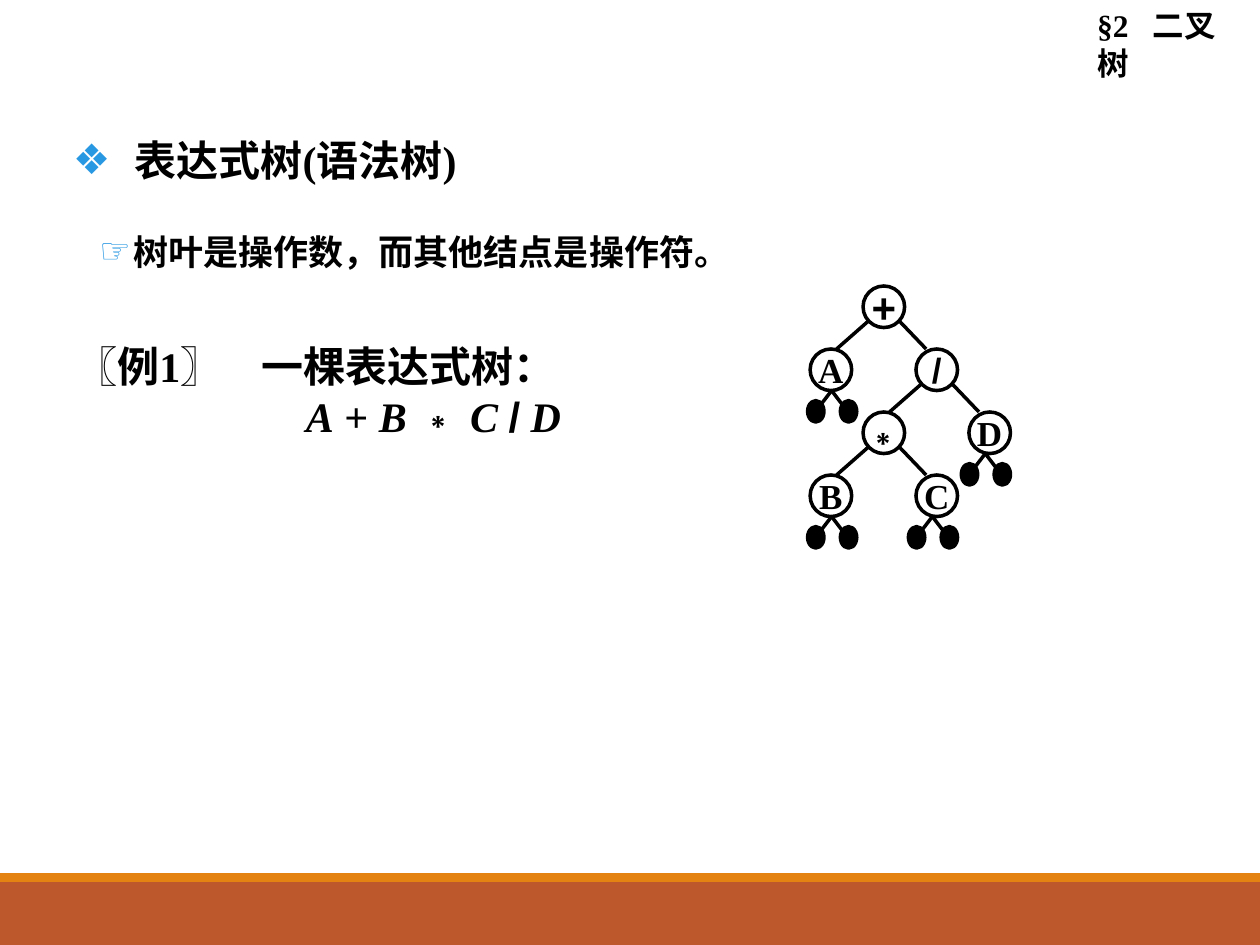
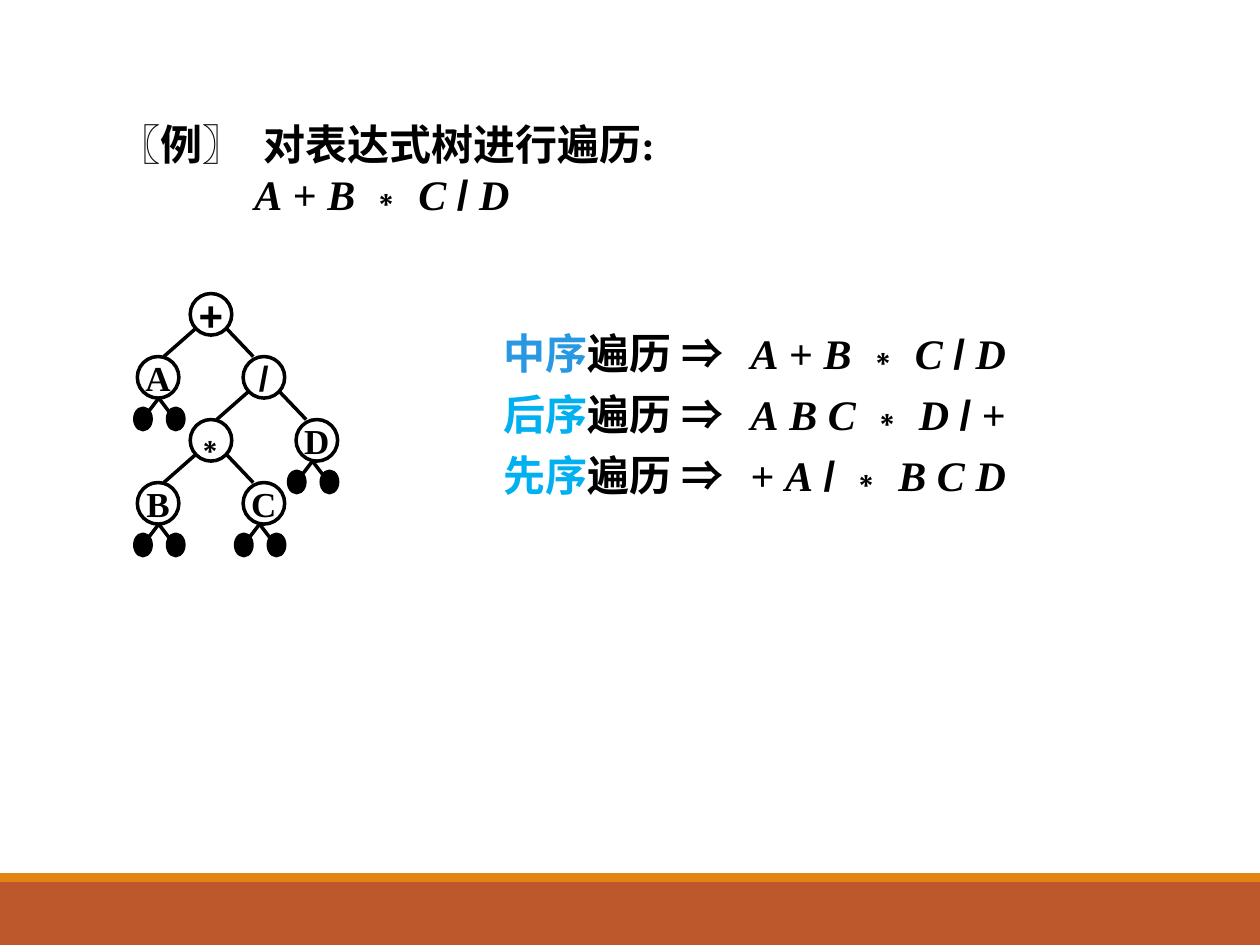
"""Builds two slides on expression trees and their traversal."""
from itertools import groupby
from lxml.etree import SubElement as Sub
from pptx import Presentation
from pptx.dml.color import RGBColor
from pptx.enum.shapes import MSO_CONNECTOR as Link, MSO_SHAPE as Kind
from pptx.enum.text import MSO_ANCHOR as Anchor, PP_ALIGN as Align
from pptx.oxml.ns import qn
from pptx.util import Inches, Pt

hue = RGBColor.from_string
INK, BLUE, SKY = "000000", "2998E3", "00B0F0"
SERIF, SANS = "Times New Roman", "Arial"
BANDS = [(7, 0.5, "BD582C"), (6.93, 0.07, "E48312")]
TERM = "A + B ∗ C / D"

STEP, ROW, SIZE = 0.42, 0.5, 0.33
NODES = {"+": (1, 0), "A": (0, 1), "/": (2, 1), "∗": (1, 2),
         "D": (3, 2), "B": (0, 3), "C": (2, 3)}
EDGES = ["+A", "+/", "/∗", "/D", "∗B", "∗C"]
STEMS = {"A": 0.17, "D": 0.13, "B": 0.17, "C": 0.13}


def shape(shapes, kind, x, y, w, h, fill=None, line=None):
    item = shapes.add_shape(kind, Inches(x), Inches(y), Inches(w), Inches(h))
    item.shadow.inherit = False
    if fill:
        item.fill.solid()
        item.fill.fore_color.rgb = hue(fill)
    else:
        item.fill.background()
    if line:
        item.line.color.rgb = hue(line)
        item.line.width = Pt(2)
    else:
        item.line.fill.background()
    return item


def write(slide, x, y, w, h, lines, size=24, tab=0):
    frame = slide.shapes.add_textbox(Inches(x), Inches(y), Inches(w), Inches(h)).text_frame
    frame.word_wrap = True
    for row, (text, opts) in enumerate(lines):
        para = frame.add_paragraph() if row else frame.paragraphs[0]
        props = para._p.get_or_add_pPr()
        left = opts.get("left", 0)
        props.set("marL", str(Inches(left)))
        if "mark" in opts:
            props.set("indent", str(-Inches(left)))
            Sub(Sub(props, qn("a:buClr")), qn("a:srgbClr"), val=BLUE)
            Sub(props, qn("a:buFont"), typeface=SANS)
            Sub(props, qn("a:buChar"), char=opts["mark"])
        if "\t" in text:
            Sub(Sub(props, qn("a:tabLst")), qn("a:tab"), pos=str(Inches(tab)), algn="l")
        if row and "gap" in opts:
            para.space_before = Pt(opts["gap"])
        font = para.font
        font.size, font.bold, font.name = Pt(size), True, SERIF
        font.color.rgb = hue(INK)
        if "tint" in opts:
            run = para.add_run()
            run.text, text = text[:2], text[2:]
            run.font.color.rgb = hue(opts["tint"])
        for (sans, slant), part in groupby(text, lambda c: (c in "∗/⇒", c in "ABCD")):
            run = para.add_run()
            run.text = "".join(part)
            if sans:
                run.font.name = SANS
            if slant:
                run.font.italic = True


deck = Presentation()
deck.slide_width, deck.slide_height = Inches(10), Inches(7.5)

for left, top in [(6.43, 2.27), (1.09, 2.33)]:
    slide = deck.slides.add_slide(deck.slide_layouts[6])
    for y, high, fill in BANDS:
        shape(slide.shapes, Kind.RECTANGLE, 0, y, 10, high, fill)

    tree = slide.shapes.add_group_shape().shapes
    spots = {name: (left + col * STEP, top + row * ROW) for name, (col, row) in NODES.items()}
    lines = []
    for head, tail in EDGES:
        (x, y), (cx, cy) = spots[head], spots[tail]
        start, end = (0.04, 0.21) if cx < x else (0.29, 0.08)
        lines.append((x + start, y + 0.28, cx + end, cy))
    for name, shift in STEMS.items():
        x, y = spots[name]
        stem = x + shift
        for side in (-0.13, 0.13):
            lines.append((stem, y + SIZE, stem + side, y + ROW))
            shape(tree, Kind.OVAL, stem + side - 0.06, y + 0.41, 0.13, 0.17, INK, INK)
    for ends in lines:
        edge = tree.add_connector(Link.STRAIGHT, *map(Inches, ends))
        edge.line.color.rgb = hue(INK)
        edge.line.width = Pt(2)
        Sub(edge._element.spPr, qn("a:effectLst"))
    for name, (x, y) in spots.items():
        frame = shape(tree, Kind.OVAL, x, y, SIZE, SIZE, line=INK).text_frame
        frame.word_wrap = False
        frame.vertical_anchor = Anchor.MIDDLE
        para = frame.paragraphs[0]
        para.text, para.alignment = name, Align.CENTER
        font = para.font
        font.size, font.bold = Pt(24 if name in "+∗" else 20), True
        font.name = SERIF if name in STEMS else SANS
        font.color.rgb = hue(INK)

first, second = deck.slides
write(first, 8.61, 0, 1.38, 0.4, [("§2\t二叉树", {})], 18, 0.44)
write(first, 0.48, 1.02, 5.92, 0.5, [("表达式树(语法树)", {"mark": "❖", "left": 0.49})])
write(first, 0.69, 1.78, 5.5, 0.44,
      [("树叶是操作数，而其他结点是操作符。", {"mark": "☞", "left": 0.27})], 20)
write(first, 0.5, 2.65, 6.25, 0.9,
      [("〖例1〗\t一棵表达式树：", {}), (TERM, {"left": 1.83})], tab=1.48)

write(second, 0.84, 0.89, 6.36, 0.9,
      [("〖例〗\t对表达式树进行遍历:", {}), (TERM, {"left": 1.08})], tab=1.15)
walks = [("中序", TERM, BLUE), ("后序", "A B C ∗ D / +", SKY), ("先序", "+ A / ∗ B C D", SKY)]
write(second, 3.9, 2.55, 5.82, 1.47,
      [(f"{name}遍历 ⇒\t{term}", {"tint": tint, "gap": 6}) for name, term, tint in walks], tab=1.96)

deck.save("out.pptx")
